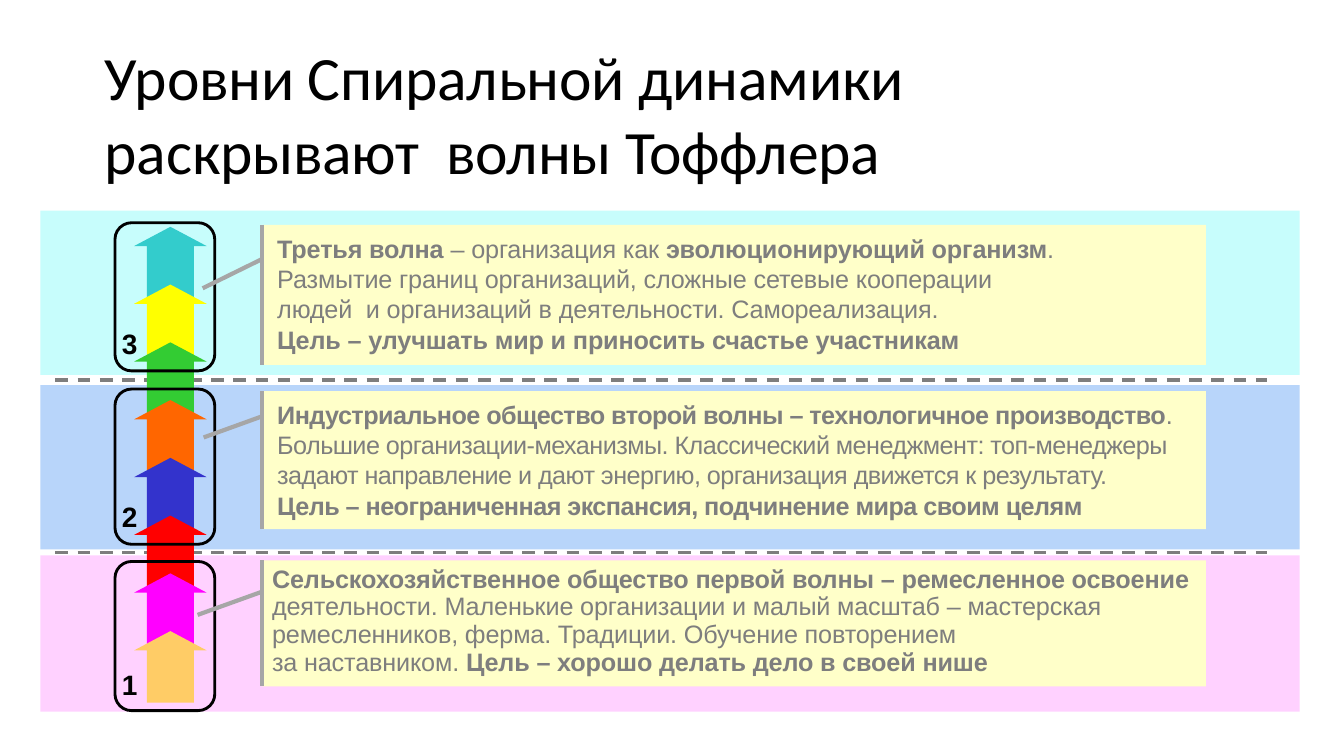
from collections import namedtuple

from lxml.etree import SubElement
from pptx import Presentation
from pptx.dml.color import RGBColor
from pptx.enum.dml import MSO_LINE
from pptx.enum.shapes import MSO_CONNECTOR, MSO_SHAPE
from pptx.enum.text import MSO_ANCHOR, MSO_AUTO_SIZE, PP_ALIGN
from pptx.oxml.ns import qn
from pptx.util import Inches, Pt

BLACK = RGBColor(0x00, 0x00, 0x00)
GRAY = RGBColor(0x7E, 0x7E, 0x7E)
LIGHT_GRAY = RGBColor(0xA6, 0xA6, 0xA6)
CREAM = RGBColor(0xFF, 0xFF, 0xC9)
CYAN = RGBColor(0xC7, 0xFD, 0xFC)
BLUE = RGBColor(0xB8, 0xD5, 0xFA)
PINK = RGBColor(0xFF, 0xD1, 0xFF)
LEVEL_COLORS = [
    RGBColor(0x33, 0xCC, 0xCC), RGBColor(0xFF, 0xFF, 0x00),
    RGBColor(0x33, 0xCC, 0x33), RGBColor(0xFF, 0x66, 0x00),
    RGBColor(0x33, 0x33, 0xCC), RGBColor(0xFF, 0x00, 0x00),
    RGBColor(0xFF, 0x00, 0xFF), RGBColor(0xFF, 0xCC, 0x66),
]

# Vertical spans are (top, height); leader is (x, y) of its free end, then y at the panel.
Wave = namedtuple("Wave", "number color band frame panel leader number_top "
                          "text_top indent leading tracking lines")
# Bold passages stand between asterisks.
WAVES = [
    Wave("3", CYAN, (2.09, 1.63), (2.21, 1.47), (2.23, 1.39), (2.01, 2.86, 2.57),
         3.23, 2.3, 0.15, 21.7, -0.1, [
             "*Третья волна* – организация как *эволюционирующий организм*.",
             "Размытие границ организаций, сложные сетевые кооперации",
             "людей  и организаций в деятельности. Самореализация.",
             "*Цель – улучшать мир и приносить счастье участникам*"]),
    Wave("2", BLUE, (3.82, 1.63), (3.86, 1.54), (3.88, 1.37), (2.02, 4.34, 4.13),
         4.95, 3.95, 0.15, 21.6, -0.4, [
             "*Индустриальное общество второй волны – технологичное производство*.",
             "Большие организации-механизмы. Классический менеджмент: топ-менеджеры",
             "задают направление и дают энергию, организация движется к результату.",
             "*Цель – неограниченная экспансия, подчинение мира своим целям*"]),
    Wave("1", PINK, (5.51, 1.55), (5.57, 1.48), (5.56, 1.25), (1.96, 6.1, 5.87),
         6.61, 5.6, 0.1, 19.8, -0.1, [
             "*Сельскохозяйственное общество первой волны – ремесленное освоение*",
             "деятельности. Маленькие организации и малый масштаб – мастерская",
             "ремесленников, ферма. Традиции. Обучение повторением",
             "за наставником. *Цель – хорошо делать дело в своей нише*"]),
]
BAND_LEFT, BAND_WIDTH = 0.4, 12.49
PANEL_LEFT, PANEL_WIDTH = 2.6, 9.36


def add_filled(page, kind, color, left, top, width, height):
    shape = page.shapes.add_shape(
        kind, Inches(left), Inches(top), Inches(width), Inches(height))
    shape.shadow.inherit = False
    shape.fill.solid()
    shape.fill.fore_color.rgb = color
    shape.line.fill.background()
    return shape


def add_line(page, start, end, color, width):
    line = page.shapes.add_connector(
        MSO_CONNECTOR.STRAIGHT, *(Inches(value) for value in (*start, *end)))
    line.line.color.rgb = color
    line.line.width = Pt(width)
    SubElement(line._element.spPr, qn("a:effectLst"))
    return line


def set_frame(frame, left_margin=0):
    frame.auto_size = MSO_AUTO_SIZE.NONE
    frame.margin_left = Inches(left_margin)
    frame.margin_right = frame.margin_bottom = 0
    frame.margin_top = Inches(0.01)


def add_text_frame(page, left, top, width, height, left_margin=0):
    box = page.shapes.add_textbox(
        Inches(left), Inches(top), Inches(width), Inches(height))
    set_frame(box.text_frame, left_margin)
    box.text_frame.word_wrap = True
    return box.text_frame


def set_font(para, name, size, color, bold=None):
    para.font.name = name
    para.font.size = Pt(size)
    para.font.color.rgb = color
    para.font.bold = bold


def add_title(page, left, top, width, height):
    title = page.shapes.title
    title.left, title.top = Inches(left), Inches(top)
    title.width, title.height = Inches(width), Inches(height)
    frame = title.text_frame
    set_frame(frame)
    frame.vertical_anchor = MSO_ANCHOR.MIDDLE
    para = frame.paragraphs[0]
    para.alignment = PP_ALIGN.LEFT
    para.space_before = Pt(1)
    set_font(para, "Calibri", 44, BLACK)
    span = para.add_run()
    span.text = "Уровни Спиральной динамики раскрывают  волны Тоффлера"
    span.font._element.set("spc", "-20")


def add_bands(page):
    for wave in WAVES:
        add_filled(page, MSO_SHAPE.RECTANGLE, wave.color,
                   BAND_LEFT, wave.band[0], BAND_WIDTH, wave.band[1])
    for upper, lower in zip(WAVES, WAVES[1:]):
        y = (sum(upper.band) + lower.band[0]) / 2
        divider = add_line(page, (0.55, y), (12.57, y), GRAY, 2.28)
        divider.line.dash_style = MSO_LINE.DASH


def add_level_arrows(page, left, top, step):
    for index, color in enumerate(LEVEL_COLORS):
        arrow = add_filled(page, MSO_SHAPE.UP_ARROW, color,
                           left, top + index * step, 0.72, 0.71)
        arrow.adjustments[0] = 0.65
        arrow.adjustments[1] = 0.27


def add_wave_frame(page, wave, left, width):
    top, height = wave.frame
    outline = add_filled(page, MSO_SHAPE.ROUNDED_RECTANGLE, BLACK,
                         left, top, width, height)
    outline.fill.background()
    outline.line.color.rgb = BLACK
    outline.line.width = Pt(2.04)
    frame = add_text_frame(page, left + 0.07, wave.number_top, 0.18, 0.36)
    para = frame.paragraphs[0]
    para.text = wave.number
    para.space_before = Pt(1)
    set_font(para, "Arial", 20, BLACK, True)


def add_wave_panel(page, wave, left, width):
    top, height = wave.panel
    add_filled(page, MSO_SHAPE.RECTANGLE, CREAM, left, top, width, height)
    add_line(page, (left, top), (left, top + height), LIGHT_GRAY, 3)
    leader_x, leader_y, panel_y = wave.leader
    add_line(page, (left, panel_y), (leader_x, leader_y), LIGHT_GRAY, 3)

    frame = add_text_frame(page, left, wave.text_top, width, 1.23, wave.indent)
    for index, line in enumerate(wave.lines):
        para = frame.add_paragraph() if index else frame.paragraphs[0]
        para.line_spacing = Pt(wave.leading)
        set_font(para, "Arial", 18, GRAY)
        for part, text in enumerate(line.split("*")):
            if text:
                span = para.add_run()
                span.text = text
                span.font.bold = part % 2 == 1
                span.font._element.set("spc", str(round(wave.tracking * 100)))


def main():
    deck = Presentation()
    deck.slide_width, deck.slide_height = Inches(13.33), Inches(7.5)
    page = deck.slides.add_slide(deck.slide_layouts[5])
    add_title(page, 1.04, 0.5, 10, 1.23)
    add_bands(page)
    add_level_arrows(page, 1.33, 2.25, 0.573)
    for wave in WAVES:
        add_wave_frame(page, wave, 1.14, 0.99)
        add_wave_panel(page, wave, PANEL_LEFT, PANEL_WIDTH)
    deck.save("out.pptx")


if __name__ == "__main__":
    main()
